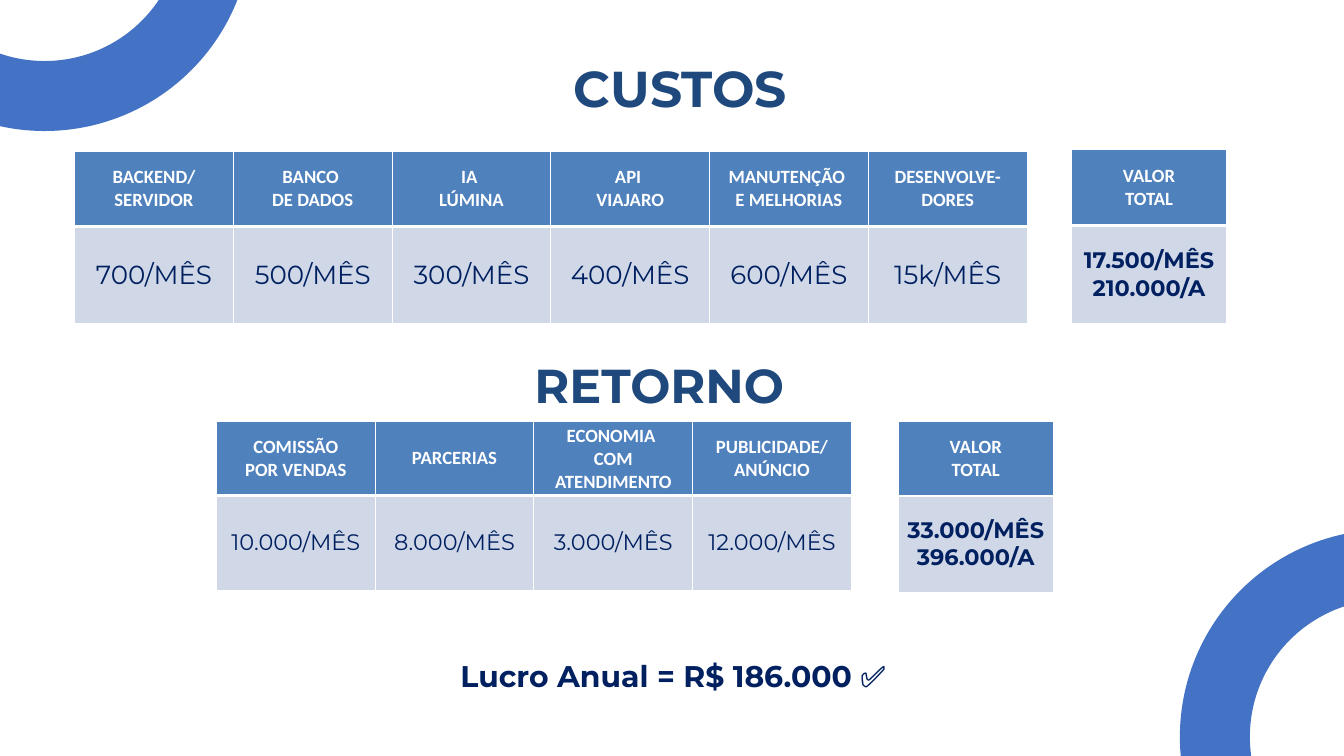
from lxml import etree
from pptx import Presentation
from pptx.dml.color import RGBColor
from pptx.enum.shapes import MSO_SHAPE
from pptx.enum.text import MSO_ANCHOR, PP_ALIGN
from pptx.oxml.ns import qn
from pptx.util import Cm, Pt

OVAL = MSO_SHAPE.OVAL
MIDDLE = MSO_ANCHOR.MIDDLE
LEFT, CENTER = PP_ALIGN.LEFT, PP_ALIGN.CENTER

WHITE, NAVY, TITLE = "FFFFFF", "002060", "1F497D"
HEAD, BODY, RING = "4F81BD", "D0D8E8", "4472C4"
COL, SUM_COL = 6, 5.84


def rgb(code):
    return RGBColor.from_string(code)


def write(frame, text, size=24, font="Montserrat", color=NAVY, bold=False,
          align=CENTER, line=None, tail=""):
    """Write one paragraph per line of text; tail is a last run that is not bold."""
    frame.word_wrap = True
    lines = text.split("\n")
    for i, words in enumerate(lines):
        para = frame.paragraphs[0] if i == 0 else frame.add_paragraph()
        para.alignment = align
        if line:
            para.line_spacing = Pt(line)
        parts = [(words, bold)]
        if tail and i == len(lines) - 1:
            parts.append((tail, False))
        for part, heavy in parts:
            run = para.add_run()
            run.text = part
            run.font.size = Pt(size)
            run.font.name = font
            run.font.bold = heavy
            run.font.color.rgb = rgb(color)


def edge(cell, **widths):
    """Give a cell white borders; widths are in points, by side."""
    props = cell._tc.get_or_add_tcPr()
    for side in "LRTB":
        line = etree.SubElement(props, qn(f"a:ln{side}"),
                                w=str(Pt(widths.get(side, 1))))
        fill = etree.SubElement(line, qn("a:solidFill"))
        etree.SubElement(fill, qn("a:srgbClr"), val=WHITE)


def add_grid(slide, box, heads, values, size=24, bold=False):
    """Draw a header row over a value row; box is left, top, column width, row heights."""
    left, top, width, heights = box
    table = slide.shapes.add_table(
        2, len(heads), Cm(left), Cm(top),
        Cm(width * len(heads)), Cm(sum(heights))).table
    table.horz_banding = False
    for col in table.columns:
        col.width = Cm(width)
    for row, height in zip(table.rows, heights):
        row.height = Cm(height)
    for i, (head, value) in enumerate(zip(heads, values)):
        top_cell, low_cell = table.cell(0, i), table.cell(1, i)
        edge(top_cell, B=3)
        edge(low_cell, T=3)
        for cell, color in ((top_cell, HEAD), (low_cell, BODY)):
            cell.fill.solid()
            cell.fill.fore_color.rgb = rgb(color)
            cell.vertical_anchor = MIDDLE
        write(top_cell.text_frame, head, size=20, font="Calibri",
              color=WHITE, bold=True)
        write(low_cell.text_frame, value, size=size, bold=bold)


def add_ring(slide, left, top, side=13.03):
    ring = slide.shapes.add_shape(OVAL, Cm(left), Cm(top), Cm(side), Cm(side))
    ring.shadow.inherit = False
    ring.fill.background()
    ring.line.color.rgb = rgb(RING)
    ring.line.width = Pt(75)


def add_text(slide, box, text, inset=None, **style):
    frame = slide.shapes.add_textbox(*map(Cm, box)).text_frame
    if inset is not None:
        frame.margin_left = frame.margin_right = Cm(inset)
        frame.margin_top = frame.margin_bottom = Cm(inset)
    write(frame, text, bold=True, **style)


def add_title(slide, box, text, size):
    add_text(slide, box, text, inset=0, size=size, color=TITLE, line=71.5)


def add_costs(slide):
    add_title(slide, (10.67, 1.93, 30.63, 2.41), "CUSTOS ", 54)
    add_grid(slide, (2.82, 5.72, COL, (2.84, 3.66)),
             ["BACKEND/ SERVIDOR", "BANCO \nDE DADOS", "IA \nLÚMINA",
              "API \nVIAJARO", "MANUTENÇÃO \nE MELHORIAS", "DESENVOLVE-DORES"],
             ["700/MÊS", "500/MÊS", "300/MÊS", "400/MÊS", "600/MÊS", "15k/MÊS"],
             size=28)
    add_grid(slide, (40.51, 5.66, SUM_COL, (2.87, 3.68)),
             ["VALOR\nTOTAL"], ["17.500/MÊS 210.000/A"], bold=True)


def add_returns(slide):
    add_title(slide, (9.86, 13.08, 30.63, 2.36), "RETORNO ", 51)
    add_grid(slide, (8.18, 15.93, COL, (2.79, 3.58)),
             ["COMISSÃO\nPOR VENDAS", "PARCERIAS",
              "ECONOMIA \nCOM ATENDIMENTO", "PUBLICIDADE/ ANÚNCIO"],
             ["10.000/MÊS", "8.000/MÊS", "3.000/MÊS", "12.000/MÊS"])
    add_grid(slide, (33.96, 15.93, SUM_COL, (2.82, 3.63)),
             ["VALOR\nTOTAL"], ["33.000/MÊS\n396.000/A"], bold=True)


def main():
    deck = Presentation()
    deck.slide_width, deck.slide_height = Cm(50.8), Cm(28.58)
    slide = deck.slides.add_slide(deck.slide_layouts[6])
    add_ring(slide, -4.83, -9.4)
    add_ring(slide, 45.92, 21.34)
    add_costs(slide)
    add_returns(slide)
    add_text(slide, (17.15, 24.74, 33.63, 2.64), "Lucro Anual = R$ 186.000",
             size=32, align=LEFT, tail=" ✅")
    deck.save("out.pptx")


if __name__ == "__main__":
    main()
